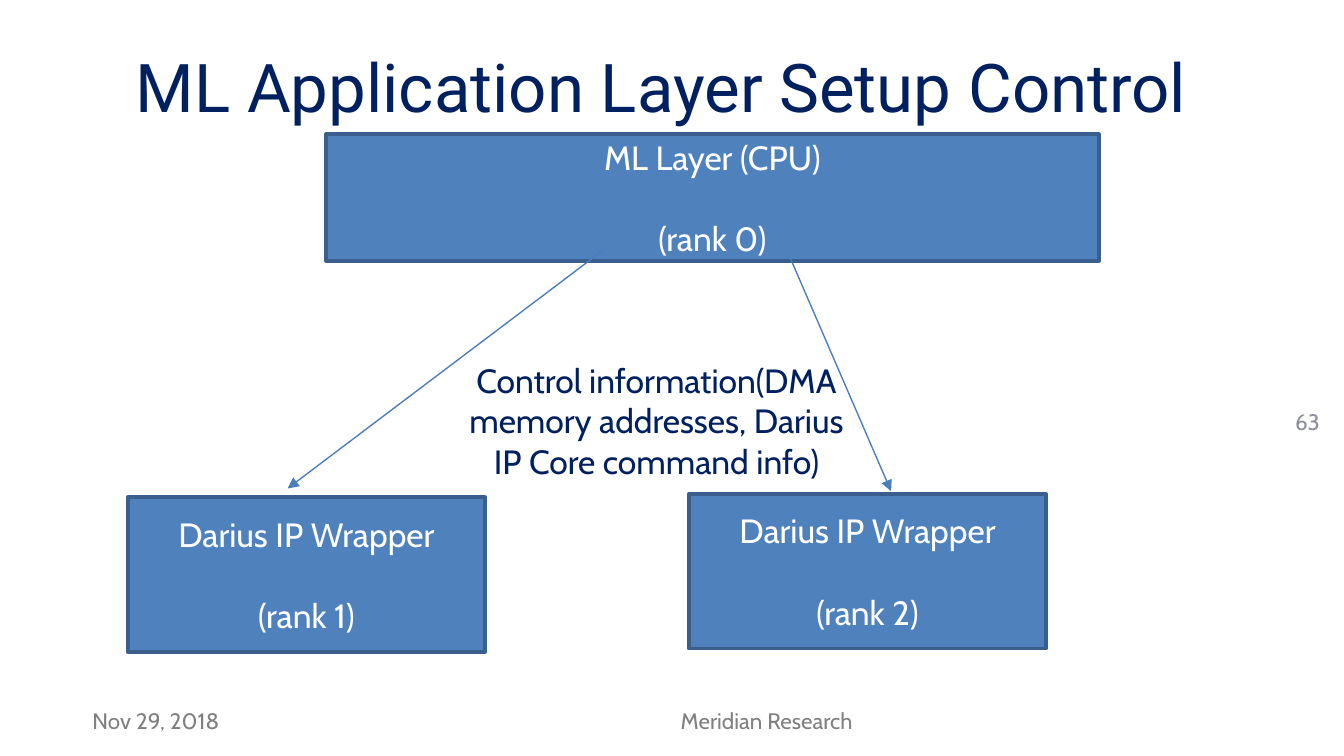
import pptx
import pptx.dml.color
import pptx.enum.shapes
import pptx.enum.text
import pptx.oxml
import pptx.oxml.ns
import pptx.util

EMU_PER_PX = 4572
SLIDE_SIZE = (2000, 1125)
COLORS = {
    "navy": "002060",
    "fill": "4F81BD",
    "border": "3A5F8C",
    "arrow": "4B7EBC",
    "white": "FFFFFF",
    "footer": "808080",
    "number": "8C8D9D",
}
ALIGN = pptx.enum.text.PP_ALIGN
ANCHOR = pptx.enum.text.MSO_ANCHOR
AUTO_SIZE = pptx.enum.text.MSO_AUTO_SIZE
FRAME_FORMAT = {
    "word_wrap": True,
    "auto_size": AUTO_SIZE.NONE,
    "vertical_anchor": ANCHOR.MIDDLE,
}
GROWING_FRAME = {
    "auto_size": AUTO_SIZE.SHAPE_TO_FIT_TEXT,
    "vertical_anchor": ANCHOR.TOP,
}


def px(value):
    return pptx.util.Emu(value * EMU_PER_PX)


def color(name):
    return pptx.dml.color.RGBColor.from_string(COLORS[name])


def apply(target, values):
    for name, value in values.items():
        setattr(target, name, value)


def write(shape, lines, size, color_name, align=ALIGN.CENTER, font="Cabin",
          frame_format=FRAME_FORMAT, gap=0):
    frame = shape.text_frame
    apply(frame, {**FRAME_FORMAT, **frame_format})
    for index, line in enumerate(lines):
        paragraph = frame.add_paragraph() if index else frame.paragraphs[0]
        space = pptx.util.Pt(gap if index else 0)
        apply(paragraph, {"alignment": align, "space_before": space})
        run = paragraph.add_run()
        run.text = line
        apply(run.font, {"name": font, "size": pptx.util.Pt(size)})
        run.font.color.rgb = color(color_name)


def add_title(slide, box, text):
    title = slide.shapes.title
    apply(title, dict(zip(("left", "top", "width", "height"), map(px, box))))
    write(title, [text], 36, "navy", font="Roboto")


def add_label(slide, box, text, size, color_name, **options):
    label = slide.shapes.add_textbox(*map(px, box))
    write(label, [text], size, color_name, **options)


def add_layer(slide, box, name, rank):
    layer = slide.shapes.add_shape(
        pptx.enum.shapes.MSO_SHAPE.RECTANGLE, *map(px, box))
    layer.shadow.inherit = False
    layer.fill.solid()
    layer.fill.fore_color.rgb = color("fill")
    layer.line.color.rgb = color("border")
    layer.line.width = pptx.util.Pt(2)
    write(layer, [name, f"(rank {rank})"], 18, "white", gap=22)


def add_arrow(slide, start, end):
    arrow = slide.shapes.add_connector(
        pptx.enum.shapes.MSO_CONNECTOR.STRAIGHT, *map(px, start + end))
    arrow.line.color.rgb = color("arrow")
    arrow.line.width = pptx.util.Pt(0.75)
    namespace = pptx.oxml.ns.nsdecls("a")
    properties = arrow._element.spPr
    properties.find(pptx.oxml.ns.qn("a:ln")).append(
        pptx.oxml.parse_xml(f'<a:tailEnd {namespace} type="triangle"/>'))
    properties.append(pptx.oxml.parse_xml(f'<a:effectLst {namespace}/>'))


def add_diagram(slide, left, top):
    add_layer(slide, (left + 295, top, 1150, 188), "ML Layer (CPU)", 0)
    for rank, (x, y) in enumerate([(0, 540), (835, 535)], start=1):
        add_layer(slide, (left + x, top + y, 532, 230),
                  "Darius IP Wrapper", rank)
    for start, end in [((708, 172), (238, 527)), ((986, 184), (1136, 531))]:
        add_arrow(slide, (left + start[0], top + start[1]),
                  (left + end[0], top + end[1]))
    add_label(slide, (left + 487, top + 326, 600, 202),
              "Control information(DMA memory addresses, "
              "Darius IP Core command info)",
              18, "navy", frame_format=GROWING_FRAME)


def add_footer(slide, left, top):
    add_label(slide, (left, top, 314, 60), "Nov 29, 2018", 12, "footer",
              align=ALIGN.LEFT)
    add_label(slide, (left + 346, top, 1354, 60), "Meridian Research", 12,
              "footer")


def main():
    presentation = pptx.Presentation()
    width, height = map(px, SLIDE_SIZE)
    apply(presentation, {"slide_width": width, "slide_height": height})
    slide = presentation.slides.add_slide(presentation.slide_layouts[5])
    add_title(slide, (118, 45, 1732, 164), "ML Application Layer Setup Control")
    add_label(slide, (1876, 528, 108, 200), "63", 12, "number",
              align=ALIGN.RIGHT)
    add_footer(slide, 118, 1043)
    add_diagram(slide, 190, 200)
    presentation.save("out.pptx")


if __name__ == "__main__":
    main()
